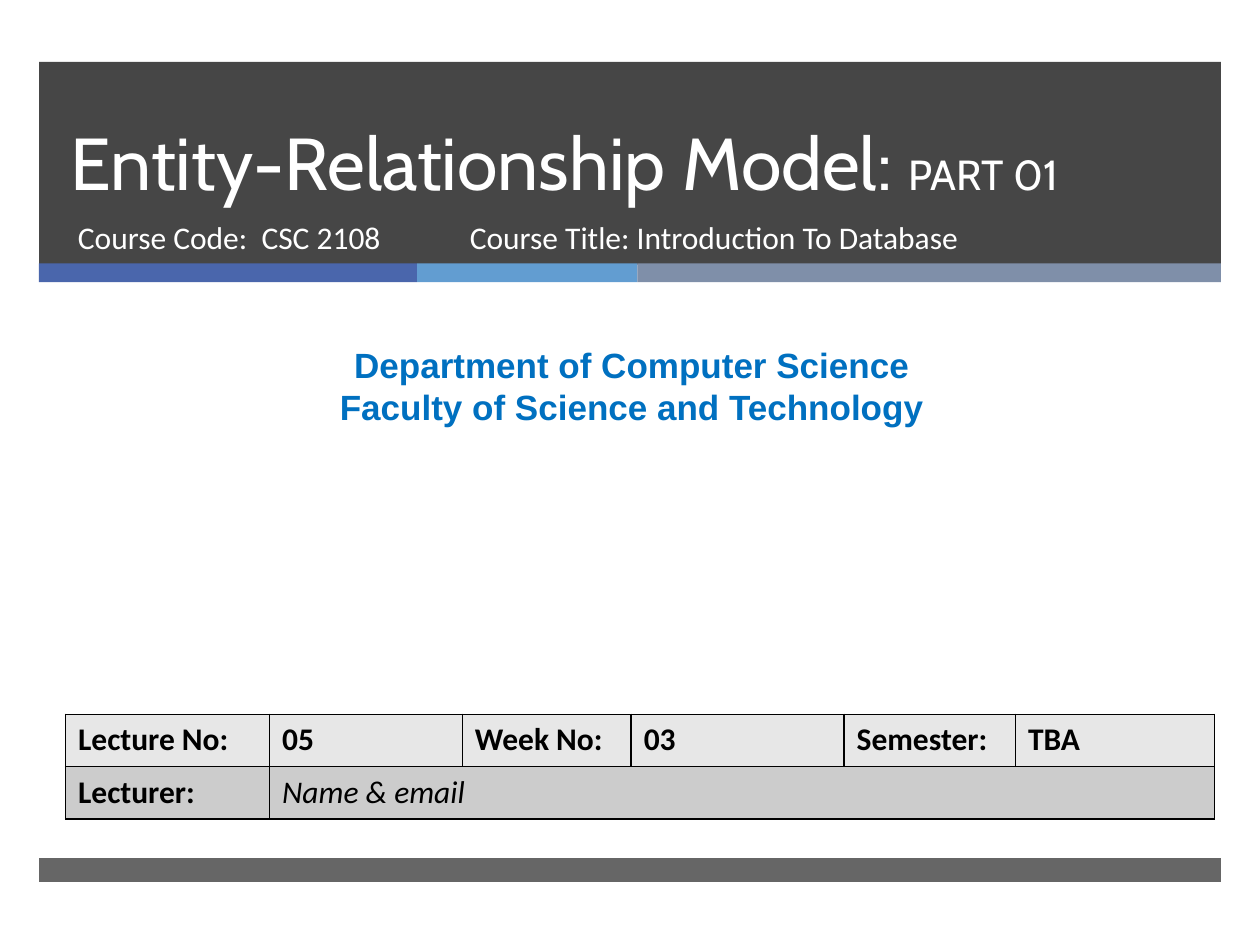
from lxml import etree
from pptx import Presentation
from pptx.dml.color import RGBColor
from pptx.enum.shapes import MSO_SHAPE as Shape
from pptx.enum.text import MSO_ANCHOR as Anchor, PP_ALIGN as Align
from pptx.oxml import parse_xml
from pptx.oxml.ns import nsdecls, qn
from pptx.util import Inches, Pt

WHITE, BLACK, DARK, BLUE = "FFFFFF", "000000", "262626", "0070C0"
BAND_LEFT, BAND_WIDTH = 0.31, 9.38


def color(hex_string):
    return RGBColor.from_string(hex_string)


def box_of(left, top, width, height):
    return Inches(left), Inches(top), Inches(width), Inches(height)


def add_run(paragraph, text, size, font, hex_string, bold=False, italic=False):
    run = paragraph.add_run()
    run.text = text
    run.font.size = Pt(size)
    run.font.name = font
    run.font.bold = bold
    run.font.italic = italic
    run.font.color.rgb = color(hex_string)


def add_bar(slide, box, hex_string, opacity=100):
    shape = slide.shapes.add_shape(Shape.RECTANGLE, *box_of(*box))
    shape.shadow.inherit = False
    shape.line.fill.background()
    shape.fill.solid()
    shape.fill.fore_color.rgb = color(hex_string)
    if opacity < 100:
        fill_color = shape.fill._xPr.find(".//" + qn("a:srgbClr"))
        etree.SubElement(fill_color, qn("a:alpha"), val=str(opacity * 1000))


def add_text(slide, box, lines, size, font, hex_string, bold=False, align=Align.LEFT):
    frame = slide.shapes.add_textbox(*box_of(*box)).text_frame
    frame.word_wrap = True
    for index, line in enumerate(lines):
        paragraph = frame.add_paragraph() if index else frame.paragraphs[0]
        paragraph.alignment = align
        add_run(paragraph, line, size, font, hex_string, bold)


def add_header(slide, left, top, width, height):
    # Dark band with a three-colour strip along its foot
    add_bar(slide, (left, top, width, height), DARK, 85)
    strip_left = left
    for strip_width, hex_string in ((3, "4A66AC"), (1.75, "629DD1"), (4.63, "7F8FA9")):
        add_bar(slide, (strip_left, top + 1.6, strip_width, 0.15), hex_string)
        strip_left += strip_width

    # Title, brought in front of the band
    title = slide.shapes.title
    slide.shapes._spTree.append(title._element)
    title.left, title.top, title.width, title.height = box_of(left + 0.15, top, 8.54, 1.19)
    frame = title.text_frame
    frame.word_wrap = True
    frame.vertical_anchor = Anchor.BOTTOM
    paragraph = frame.paragraphs[0]
    paragraph.alignment = Align.LEFT
    paragraph.line_spacing = Pt(46)
    add_run(paragraph, "Entity-Relationship Model: ", 42, "Cabin", WHITE)
    add_run(paragraph, "PART 01", 24, "Cabin", WHITE)

    # Course details
    for offset, text_width, text in (
        (0.21, 3.05, "Course Code:  CSC 2108"),
        (3.32, 4.55, "Course Title: Introduction To Database"),
    ):
        add_text(slide, (left + offset, top + 1.19, text_width, 0.53), [text],
                 18, "Calibri", WHITE)


def set_borders(cell):
    properties = cell._tc.get_or_add_tcPr()
    for index, side in enumerate(("lnL", "lnR", "lnT", "lnB")):
        properties.insert(index, parse_xml(
            f'<a:{side} {nsdecls("a")} w="12700"><a:solidFill>'
            f'<a:srgbClr val="{BLACK}"/></a:solidFill></a:{side}>'))


def add_lecture_table(slide, left, top, width, height):
    rows = (
        ("E7E7E7", ("Lecture No:", "05", "Week No:", "03", "Semester:", "TBA")),
        ("CCCCCC", ("Lecturer:", "Name & email", "", "", "", "")),
    )
    column_widths = (1.62, 1.53, 1.34, 1.69, 1.36, 1.58)
    table = slide.shapes.add_table(
        len(rows), len(column_widths), *box_of(left, top, width, height)).table
    for column, column_width in zip(table.columns, column_widths):
        column.width = Inches(column_width)
    for row_index, (fill, texts) in enumerate(rows):
        for column_index, text in enumerate(texts):
            cell = table.cell(row_index, column_index)
            cell.fill.solid()
            cell.fill.fore_color.rgb = color(fill)
            set_borders(cell)
            if text:
                italic = text == "Name & email"
                add_run(cell.text_frame.paragraphs[0], text, 18, "Calibri", BLACK,
                        bold=not italic, italic=italic)
    table.cell(1, 1).merge(table.cell(1, 5))


def main():
    presentation = Presentation()
    presentation.slide_width, presentation.slide_height = Inches(10), Inches(7.5)
    slide = presentation.slides.add_slide(presentation.slide_layouts[5])

    add_header(slide, BAND_LEFT, 0.49, BAND_WIDTH, 1.61)
    add_text(slide, (0.08, 2.68, 9.87, 0.77),
             ["Department of Computer Science", "Faculty of Science and Technology"],
             20, "Arial", BLUE, bold=True, align=Align.CENTER)
    add_lecture_table(slide, 0.52, 5.67, 9.12, 0.83)
    # Footer bar
    add_bar(slide, (BAND_LEFT, 6.81, BAND_WIDTH, 0.19), DARK, 70)

    presentation.save("out.pptx")


if __name__ == "__main__":
    main()
